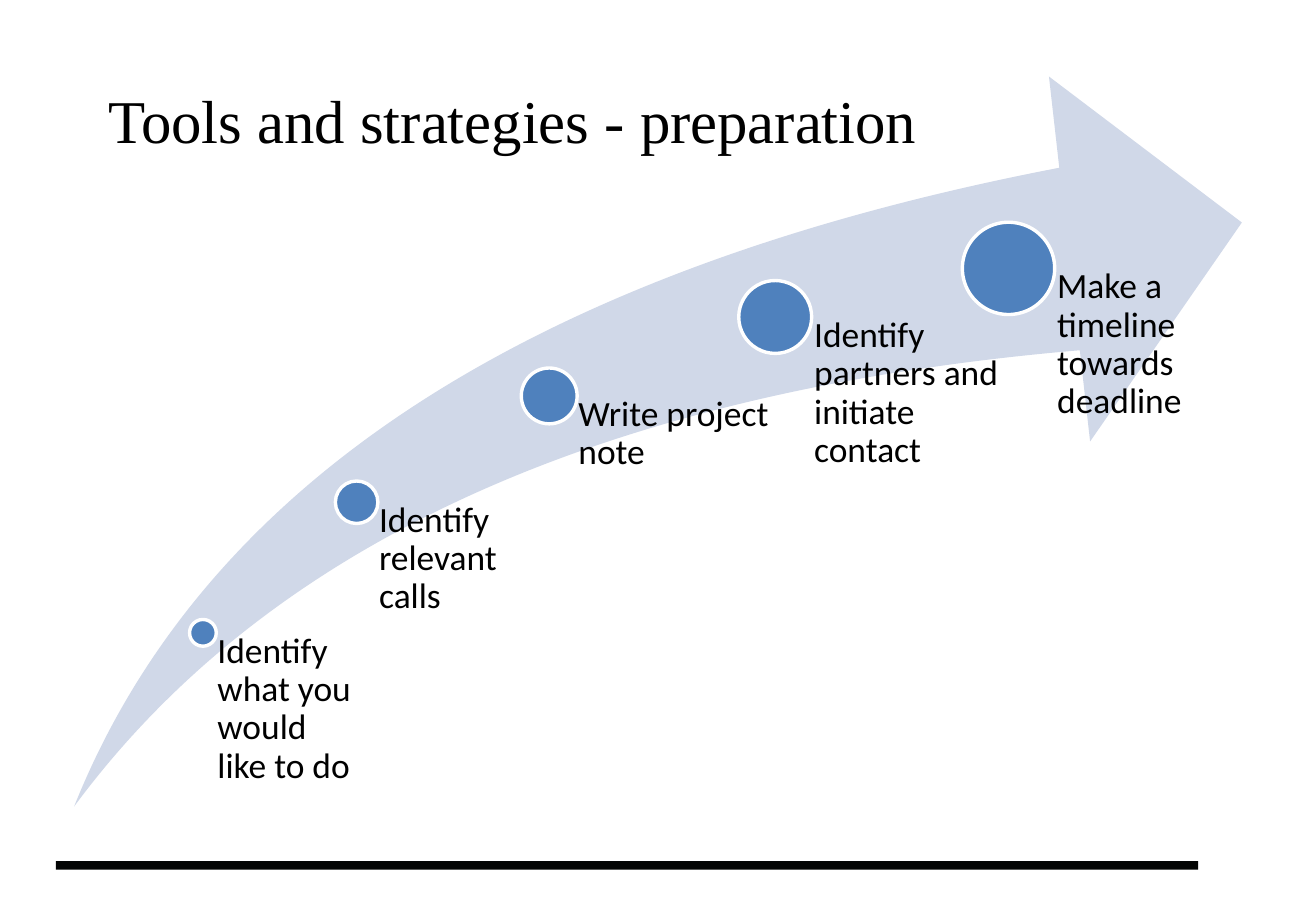
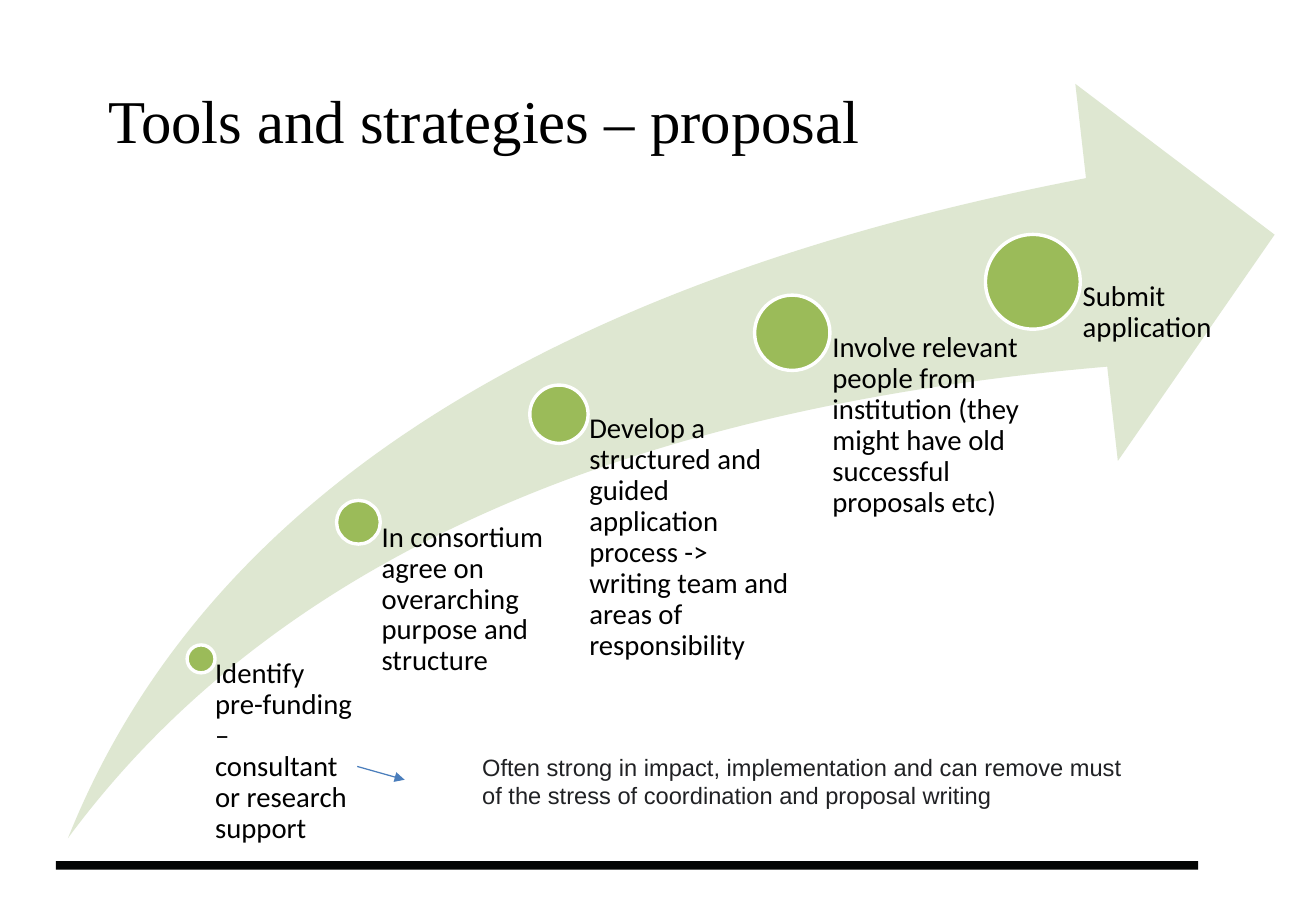
from lxml.etree import SubElement
from pptx import Presentation
from pptx.dml.color import RGBColor
from pptx.enum.shapes import MSO_CONNECTOR, MSO_SHAPE
from pptx.enum.text import MSO_ANCHOR, MSO_AUTO_SIZE, PP_ALIGN
from pptx.oxml.ns import qn
from pptx.util import Emu, Pt

EMU_PER_PX = 9144  # 100 px to the inch
TITLE_ONLY = 5

# Milestones in thousandths of the arrow:
# centre x (of width), centre y (of height), diameter and label width (of width)
MILESTONES = [
    (110, 762, 23, 131),
    (241, 582, 36, 166),
    (407, 438, 48, 191),
    (600, 330, 62, 200),
    (800, 263, 79, 200),
]
LABEL_INDENT = 0.53  # of the circle's diameter


def px(length):
    return Emu(length * EMU_PER_PX)


def color(hex_string):
    return RGBColor.from_string(hex_string)


def share(length, thousandths):
    return round(length * thousandths / 1000)


class Deck:
    """Holds the shared style and the slide being built."""

    TITLE_FONT = "Times New Roman"
    LABEL_FONT = "Calibri"
    NOTE_FONT = "Arial"
    BLACK = "000000"
    WHITE = "FFFFFF"
    BAR = "030504"

    def __init__(self, width, height):
        self.presentation = Presentation()
        self.presentation.slide_width = px(width)
        self.presentation.slide_height = px(height)
        self.slide = None

    def add_slide(self, title):
        layout = self.presentation.slide_layouts[TITLE_ONLY]
        self.slide = self.presentation.slides.add_slide(layout)
        self.shape(MSO_SHAPE.RECTANGLE, (46, 709, 940, 7), self.BAR)
        shape = self.slide.shapes.title
        shape.left, shape.top, shape.width, shape.height = map(px, (79, 54, 954, 88))
        shape.text_frame.vertical_anchor = MSO_ANCHOR.MIDDLE
        self.set_text(shape.text_frame, title, self.TITLE_FONT, 36, self.BLACK)

    def set_text(self, text_frame, text, font_name, size, font_color):
        text_frame.word_wrap = True
        text_frame.auto_size = MSO_AUTO_SIZE.NONE
        text_frame.text = text
        paragraph = text_frame.paragraphs[0]
        paragraph.alignment = PP_ALIGN.LEFT
        font = paragraph.runs[0].font
        font.name = font_name
        font.size = Pt(size)
        font.color.rgb = color(font_color)
        return paragraph

    def shape(self, kind, box, fill, outline=None):
        shape = self.slide.shapes.add_shape(kind, *map(px, box))
        shape.shadow.inherit = False
        shape.fill.solid()
        shape.fill.fore_color.rgb = color(fill)
        if outline:
            shape.line.color.rgb = color(outline)
            shape.line.width = Pt(2)
        else:
            shape.line.fill.background()
        return shape

    def label(self, box, text, size, indent):
        text_frame = self.slide.shapes.add_textbox(*map(px, box)).text_frame
        text_frame.margin_left = px(indent)
        text_frame.margin_top = text_frame.margin_right = text_frame.margin_bottom = 0
        paragraph = self.set_text(text_frame, text, self.LABEL_FONT, size, self.BLACK)
        paragraph.line_spacing = 0.9

    def note(self, box, text):
        text_frame = self.slide.shapes.add_textbox(*map(px, box)).text_frame
        self.set_text(text_frame, text, self.NOTE_FONT, 14, "202124")

    def pointer(self, start, end):
        connector = self.slide.shapes.add_connector(
            MSO_CONNECTOR.STRAIGHT, *map(px, start + end))
        connector.line.color.rgb = color("4B7EBC")
        connector.line.width = Pt(0.75)
        properties = connector._element.spPr
        SubElement(properties.find(qn("a:ln")), qn("a:tailEnd"), type="triangle")
        SubElement(properties, qn("a:effectLst"))

    def upward_arrow(self, box, pale, strong, size, steps):
        left, top, width, height = box
        arrow = self.shape(MSO_SHAPE.SWOOSH_ARROW, box, pale)
        arrow.adjustments[0] = arrow.adjustments[1] = 0.25
        for (across, down, diameter, label_width), step in zip(MILESTONES, steps):
            center_x = left + share(width, across)
            center_y = top + share(height, down)
            circle = share(width, diameter)
            radius = circle // 2
            self.shape(MSO_SHAPE.OVAL,
                       (center_x - radius, center_y - radius, circle, circle),
                       strong, self.WHITE)
            # The label hangs from the circle's centre to the arrow's foot
            label_box = (center_x, center_y, share(width, label_width),
                         top + height - center_y)
            self.label(label_box, step, size, round(circle * LABEL_INDENT))


def main():
    deck = Deck(1083, 750)

    # Preparation
    deck.add_slide("Tools and strategies - preparation")
    deck.upward_arrow((61, 63, 961, 601), "D0D8E8", "4F81BD", 21, [
        "Identify what you would like to do",
        "Identify relevant calls",
        "Write project note",
        "Identify partners and initiate contact",
        "Make a timeline towards deadline",
    ])

    # Proposal
    deck.add_slide("Tools and strategies – proposal")
    deck.upward_arrow((56, 69, 993, 621), "DEE7D1", "9BBB59", 17, [
        "Identify pre-funding – consultant or research support",
        "In consortium agree on overarching purpose and structure",
        "Develop a structured and guided application process -> "
        "writing team and areas of responsibility",
        "Involve relevant people from institution "
        "(they might have old successful proposals etc)",
        "Submit application",
    ])
    deck.note((387, 615, 566, 57),
              "Often strong in impact, implementation and can remove must "
              "of the stress of coordination and proposal writing")
    deck.pointer((294, 631), (333, 642))

    deck.presentation.save("out.pptx")


if __name__ == "__main__":
    main()
